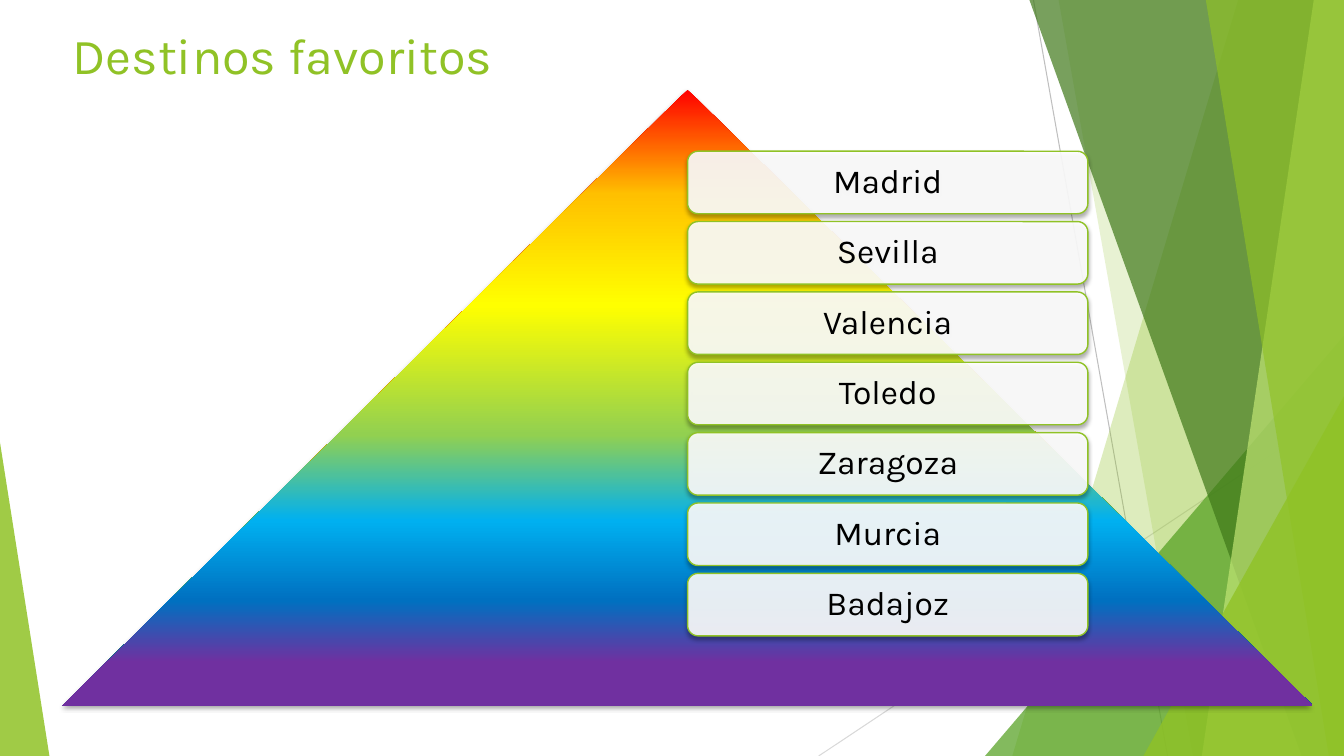
import pptx
import pptx.util
import pptx.dml.color
import pptx.enum.shapes
import pptx.enum.text
import pptx.oxml
import pptx.oxml.ns
from lxml import etree

TITLE = "Destinos favoritos"
CITIES = ["Madrid", "Sevilla", "Valencia", "Toledo", "Zaragoza", "Murcia", "Badajoz"]
FONT = "Karla"
WIDE, HIGH = 13.33, 7.5
HEX = {"lime": "90C226", "leaf": "54A021", "moss": "3F7819", "pale": "C0E474",
       "white": "FFFFFF", "black": "000000", "gray": "BFBFBF", "mist": "D9D9D9"}
RAINBOW = [(0, "FF0000"), (17, "FFC000"), (35, "FFFF00"), (56, "92D050"),
           (70, "00B0F0"), (83, "0070C0"), (93, "7030A0")]
RAYS = [((10.25, 0), (11.58, HIGH), "gray"), ((WIDE, 4.03), (8.12, HIGH), "mist")]
PANES = [("wedge", 12.28, 10.04, "lime", 30),
         ("wedge", 10.5, 11.83, "lime", 20),
         ("peak", (9.77, 3.33, 3.56), 1, "leaf", 72),
         ("wedge", 10.21, 12.91, "moss", 70),
         ("wedge", 13.03, 11.92, "pale", 70),
         ("wedge", 11.96, 13.18, "lime", 65),
         ("peak", (11.34, 3.93, 1.99), 1, "lime", 80),
         ("peak", (0, 4.39, 0.49), 0, "lime", 85)]
PYRAMID = (0.62, 0.89, 12.4, 6.11)
CARD = (PYRAMID[0] + PYRAMID[2] / 2, 1.5, 3.97, 0.62)
STEP = 0.698

Inch, Pt = pptx.util.Inches, pptx.util.Pt
Kind = pptx.enum.shapes.MSO_SHAPE
Anchor = pptx.enum.text.MSO_ANCHOR
qn = pptx.oxml.ns.qn

deck = pptx.Presentation()
deck.slide_width, deck.slide_height = Inch(WIDE), Inch(HIGH)
slide = deck.slides.add_slide(deck.slide_layouts[6])
shapes = slide.shapes


def color(name):
    return pptx.dml.color.RGBColor.from_string(HEX[name])


def paint(shape, name, alpha):
    shape.shadow.inherit = False
    shape.fill.solid()
    shape.fill.fore_color.rgb = color(name)
    shape.line.fill.background()
    tone = shape._element.spPr.find(qn("a:solidFill"))[0]
    etree.SubElement(tone, qn("a:alpha"), val=str(alpha * 1000))


def shade(shape):
    shape.shadow.inherit = False
    effect = shape._element.spPr.find(qn("a:effectLst"))
    drop = etree.SubElement(effect, qn("a:outerShdw"), blurRad=str(Pt(3)),
                            dist=str(Pt(2)), dir="5400000", rotWithShape="0")
    tone = etree.SubElement(drop, qn("a:srgbClr"), val=HEX["black"])
    etree.SubElement(tone, qn("a:alpha"), val="35000")


def place(kind, box):
    return shapes.add_shape(kind, *map(Inch, box))


def wedge(top, base):
    build = shapes.build_freeform(Inch(top), 0)
    ends = [(WIDE, 0), (WIDE, HIGH), (base, HIGH)]
    build.add_line_segments([(Inch(x), Inch(y)) for x, y in ends], close=True)
    return build.convert_to_shape()


def peak(box, tip):
    left, top, width = box
    shape = place(Kind.ISOSCELES_TRIANGLE, (left, top, width, HIGH - top))
    shape.adjustments[0] = tip
    return shape


def write(shape, text, size, name, anchor, align):
    frame = shape.text_frame
    frame.word_wrap = True
    frame.vertical_anchor = anchor
    para = frame.paragraphs[0]
    para.alignment = align
    run = para.add_run()
    run.text = text
    run.font.name, run.font.size = FONT, Pt(size)
    run.font.color.rgb = color(name)
    return para


for start, end, name in RAYS:
    ray = shapes.add_connector(pptx.enum.shapes.MSO_CONNECTOR.STRAIGHT,
                               *map(Inch, start + end))
    ray.line.color.rgb = color(name)
    ray.line.width = Pt(0.75)
    etree.SubElement(ray._element.spPr, qn("a:effectLst"))

for form, first, second, name, alpha in PANES:
    pane = wedge(first, second) if form == "wedge" else peak(first, second)
    paint(pane, name, alpha)

title = shapes.add_textbox(*map(Inch, (0.62, 0.19, 4.51, 0.7)))
write(title, TITLE, 36, "lime", Anchor.BOTTOM, pptx.enum.text.PP_ALIGN.LEFT)

cone = place(Kind.ISOSCELES_TRIANGLE, PYRAMID)
cone.fill.gradient()
cone.fill.gradient_angle = 270
stops = cone._element.spPr.find(qn("a:gradFill")).find(qn("a:gsLst"))
for old in list(stops):
    stops.remove(old)
for spot, tone in RAINBOW:
    stop = etree.SubElement(stops, qn("a:gs"), pos=str(spot * 1000))
    etree.SubElement(stop, qn("a:srgbClr"), val=tone)
cone.line.fill.background()
shade(cone)

left, top, width, height = CARD
for row, city in enumerate(CITIES):
    card = place(Kind.ROUNDED_RECTANGLE, (left, top + row * STEP, width, height))
    paint(card, "white", 90)
    card.line.color.rgb = color("lime")
    card.line.width = Pt(1)
    shade(card)
    para = write(card, city, 24, "black", Anchor.MIDDLE, pptx.enum.text.PP_ALIGN.CENTER)
    para.line_spacing = 0.9

deck.save("out.pptx")
